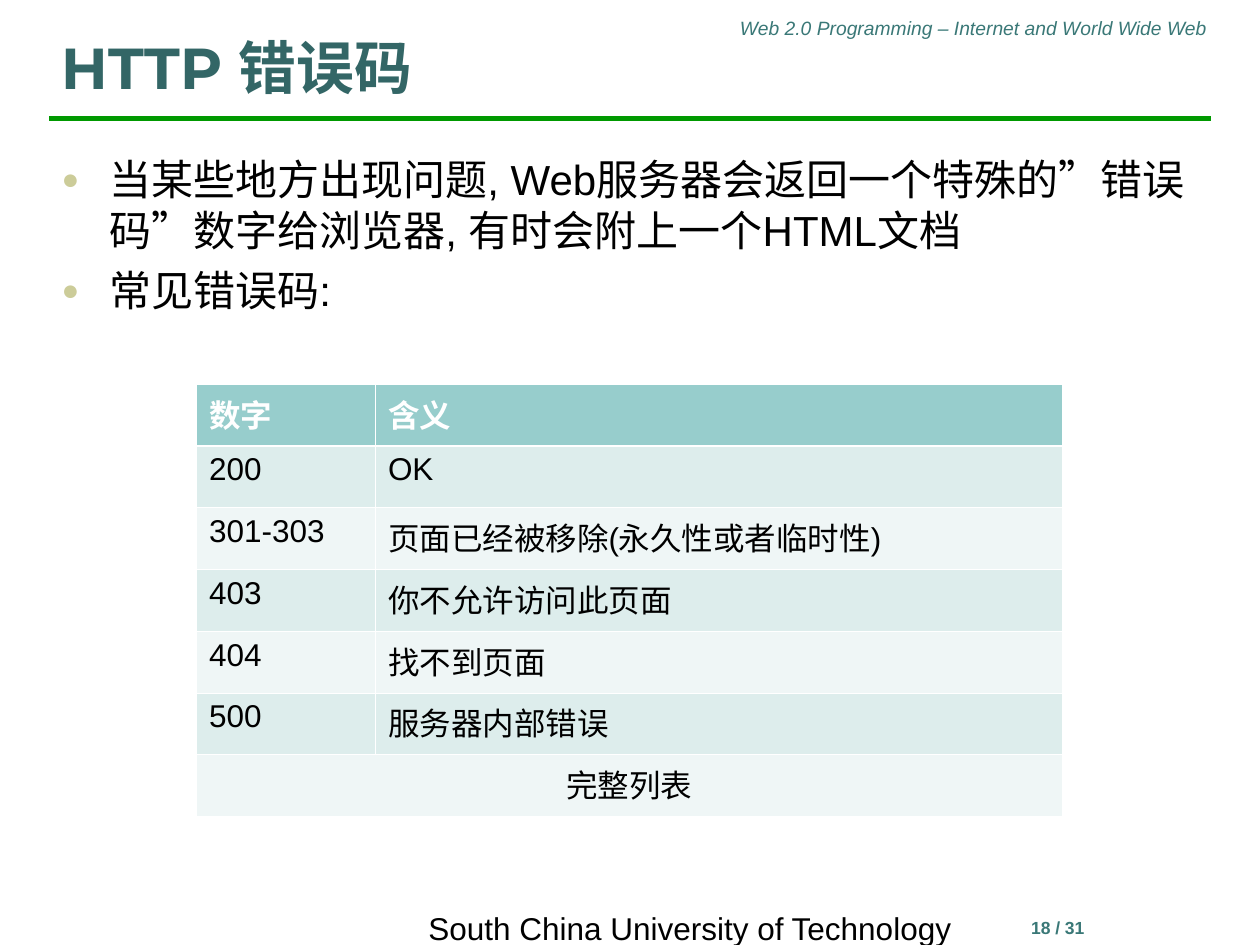
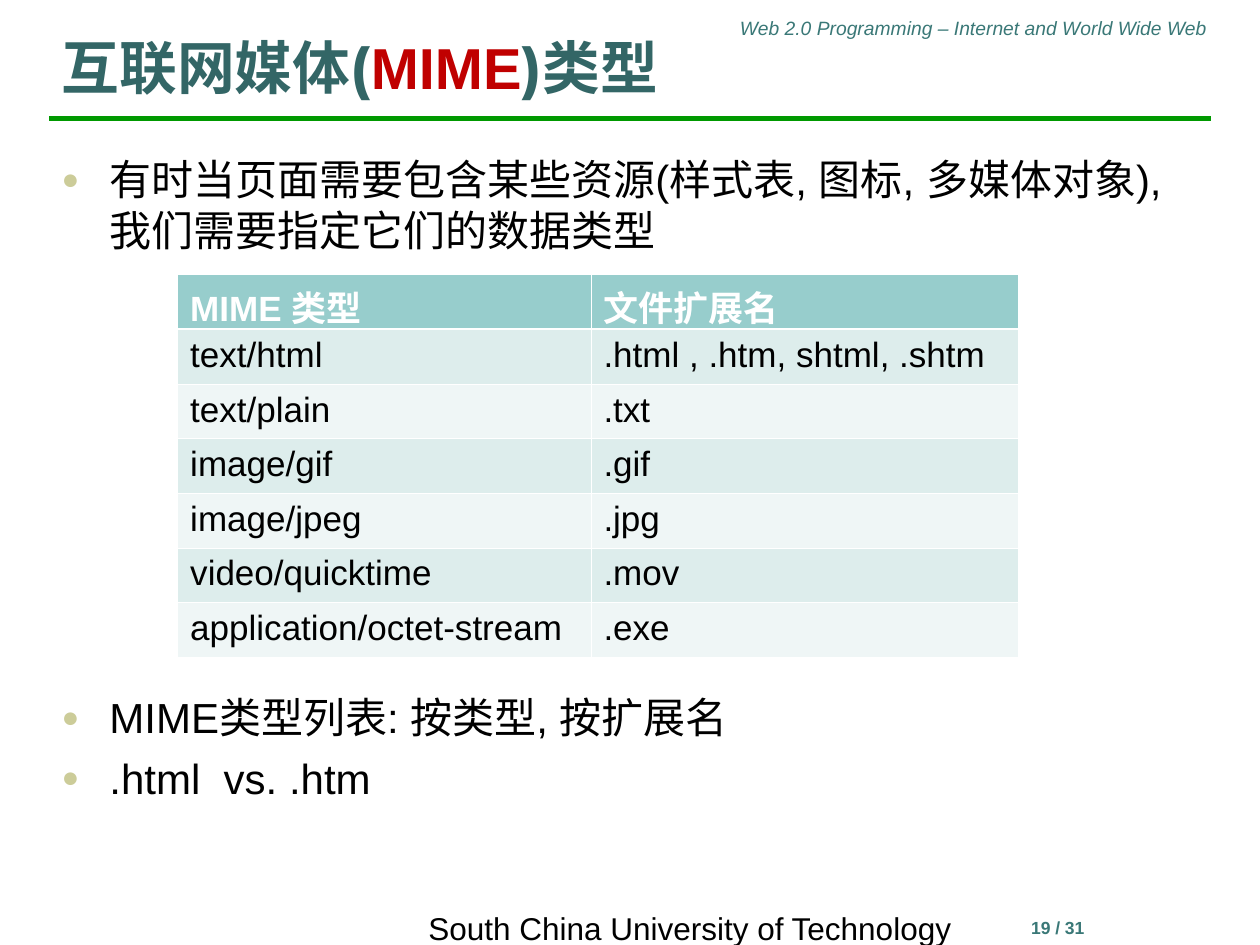
from lxml import etree
from pptx import Presentation
from pptx.dml.color import RGBColor
from pptx.enum.shapes import MSO_CONNECTOR
from pptx.enum.text import MSO_ANCHOR, PP_ALIGN
from pptx.oxml.ns import qn
from pptx.util import Inches, Pt

COLORS = {
    "title": "336666", "accent": "C00000", "note": "3A7877", "rule": "009900",
    "text": "000000", "bullet": "CCCC99", "white": "FFFFFF",
    "header": "97CDCC", "odd_row": "DDEDEC", "even_row": "EFF6F6",
}
BODY_FONT = "Arial"
TITLE_FONT = "Montserrat"
LEFT, CONTENT_WIDTH = 0.39, 9.22
SLIDE_COUNT = 31


def color(name):
    return RGBColor.from_string(COLORS[name])


def style_font(font, size, color_name, name=BODY_FONT, bold=False, italic=False):
    font.name, font.size = name, Pt(size)
    font.bold, font.italic = bold, italic
    font.color.rgb = color(color_name)


def add_text_frame(slide, left, top, width, height, anchor=MSO_ANCHOR.TOP):
    box = slide.shapes.add_textbox(Inches(left), Inches(top), Inches(width), Inches(height))
    box.text_frame.word_wrap = True
    box.text_frame.vertical_anchor = anchor
    return box.text_frame


def add_label(slide, area, text, alignment, size, color_name, anchor=MSO_ANCHOR.TOP, **style):
    paragraph = add_text_frame(slide, *area, anchor).paragraphs[0]
    paragraph.text = text
    paragraph.alignment = alignment
    style_font(paragraph.font, size, color_name, **style)


def add_frame(slide, number):
    """Rule, running head and footer shared by all slides."""
    rule = slide.shapes.add_connector(
        MSO_CONNECTOR.STRAIGHT, Inches(LEFT), Inches(0.94),
        Inches(LEFT + CONTENT_WIDTH), Inches(0.94))
    rule.line.color.rgb = color("rule")
    rule.line.width = Pt(3)
    etree.SubElement(rule._element.spPr, qn("a:effectLst"))
    add_label(slide, (5.31, 0.08, 4.37, 0.29), "Web 2.0 Programming – Internet and World Wide Web",
              PP_ALIGN.RIGHT, 11, "note", italic=True)
    add_label(slide, (7.27, 7.23, 2.25, 0.5), f"{number} / {SLIDE_COUNT}",
              PP_ALIGN.CENTER, 10, "note", bold=True)
    add_label(slide, (3.19, 7.23, 4.57, 0.27), "South China University of Technology",
              PP_ALIGN.CENTER, 18, "text", MSO_ANCHOR.MIDDLE)


def add_title(slide, *parts):
    """Each part is (text, color name, font name)."""
    frame = add_text_frame(slide, LEFT, 0.15, CONTENT_WIDTH, 0.7, MSO_ANCHOR.BOTTOM)
    for text, color_name, font_name in parts:
        run = frame.paragraphs[0].add_run()
        run.text = text
        style_font(run.font, 33, color_name, font_name, bold=True)


def add_bullet_mark(paragraph):
    properties = paragraph._p.get_or_add_pPr()
    properties.set("marL", str(Inches(0.38)))
    properties.set("indent", str(-Inches(0.38)))
    bullet_color = etree.SubElement(properties, qn("a:buClr"))
    etree.SubElement(bullet_color, qn("a:srgbClr"), val=COLORS["bullet"])
    etree.SubElement(properties, qn("a:buSzPct"), val="70000")
    etree.SubElement(properties, qn("a:buFont"), typeface=BODY_FONT)
    etree.SubElement(properties, qn("a:buChar"), char="●")


def add_bullets(slide, top, height, items):
    frame = add_text_frame(slide, LEFT, top, CONTENT_WIDTH, height)
    for index, item in enumerate(items):
        paragraph = frame.add_paragraph() if index else frame.paragraphs[0]
        paragraph.text = item
        add_bullet_mark(paragraph)
        if index:
            paragraph.space_before = Pt(6)
        style_font(paragraph.font, 24, "text")


def set_borders(cell, row_index):
    properties = cell._tc.get_or_add_tcPr()
    thick_side = {0: "lnB", 1: "lnT"}.get(row_index)
    for side in ("lnL", "lnR", "lnT", "lnB"):
        width = Pt(1.47 if side == thick_side else 0.45)
        line = etree.SubElement(properties, qn(f"a:{side}"), w=str(width))
        fill = etree.SubElement(line, qn("a:solidFill"))
        etree.SubElement(fill, qn("a:srgbClr"), val=COLORS["white"])


def add_banded_table(slide, left, top, column_widths, row_height, size, rows):
    """Header row first; a row with a single text spans all columns."""
    table = slide.shapes.add_table(
        len(rows), len(column_widths), Inches(left), Inches(top),
        Inches(sum(column_widths)), Inches(row_height * len(rows))).table
    for column, width in zip(table.columns, column_widths):
        column.width = Inches(width)
    for row_index, texts in enumerate(rows):
        table.rows[row_index].height = Inches(row_height)
        is_header = row_index == 0
        band = "header" if is_header else "odd_row" if row_index % 2 else "even_row"
        for column_index in range(len(column_widths)):
            cell = table.cell(row_index, column_index)
            set_borders(cell, row_index)
            cell.fill.solid()
            cell.fill.fore_color.rgb = color(band)
        for column_index, text in enumerate(texts):
            paragraph = table.cell(row_index, column_index).text_frame.paragraphs[0]
            paragraph.text = text
            style_font(paragraph.font, size, "white" if is_header else "text", bold=is_header)
        if len(texts) == 1:
            table.cell(row_index, 0).merge(table.cell(row_index, len(column_widths) - 1))
            paragraph.alignment = PP_ALIGN.CENTER


def add_slide(presentation, number):
    slide = presentation.slides.add_slide(presentation.slide_layouts[6])
    add_frame(slide, number)
    return slide


def build_error_codes(presentation):
    slide = add_slide(presentation, 18)
    add_title(slide, ("HTTP 错误码", "title", TITLE_FONT))
    add_bullets(slide, 1.17, 1.72, [
        "当某些地方出现问题, Web服务器会返回一个特殊的”错误码”数字给浏览器, 有时会附上一个HTML文档",
        "常见错误码:",
    ])
    add_banded_table(slide, 1.56, 3.05, (1.42, 5.45), 0.49, 18, [
        ("数字", "含义"),
        ("200", "OK"),
        ("301-303", "页面已经被移除(永久性或者临时性)"),
        ("403", "你不允许访问此页面"),
        ("404", "找不到页面"),
        ("500", "服务器内部错误"),
        ("完整列表",),
    ])


def build_mime_types(presentation):
    slide = add_slide(presentation, 19)
    add_title(slide, ("互联网媒体(", "title", TITLE_FONT), ("MIME", "accent", BODY_FONT),
              (")类型", "title", TITLE_FONT))
    add_bullets(slide, 1.17, 0.95, [
        "有时当页面需要包含某些资源(样式表, 图标, 多媒体对象), 我们需要指定它们的数据类型",
    ])
    add_banded_table(slide, 1.41, 2.18, (3.28, 3.39), 0.43, 20, [
        ("MIME 类型", "文件扩展名"),
        ("text/html", ".html , .htm, shtml, .shtm"),
        ("text/plain", ".txt"),
        ("image/gif", ".gif"),
        ("image/jpeg", ".jpg"),
        ("video/quicktime", ".mov"),
        ("application/octet-stream", ".exe"),
    ])
    add_bullets(slide, 5.44, 1.67, ["MIME类型列表: 按类型, 按扩展名", ".html  vs. .htm"])


def main():
    presentation = Presentation()
    presentation.slide_width, presentation.slide_height = Inches(10), Inches(7.5)
    build_error_codes(presentation)
    build_mime_types(presentation)
    presentation.save("out.pptx")


if __name__ == "__main__":
    main()
